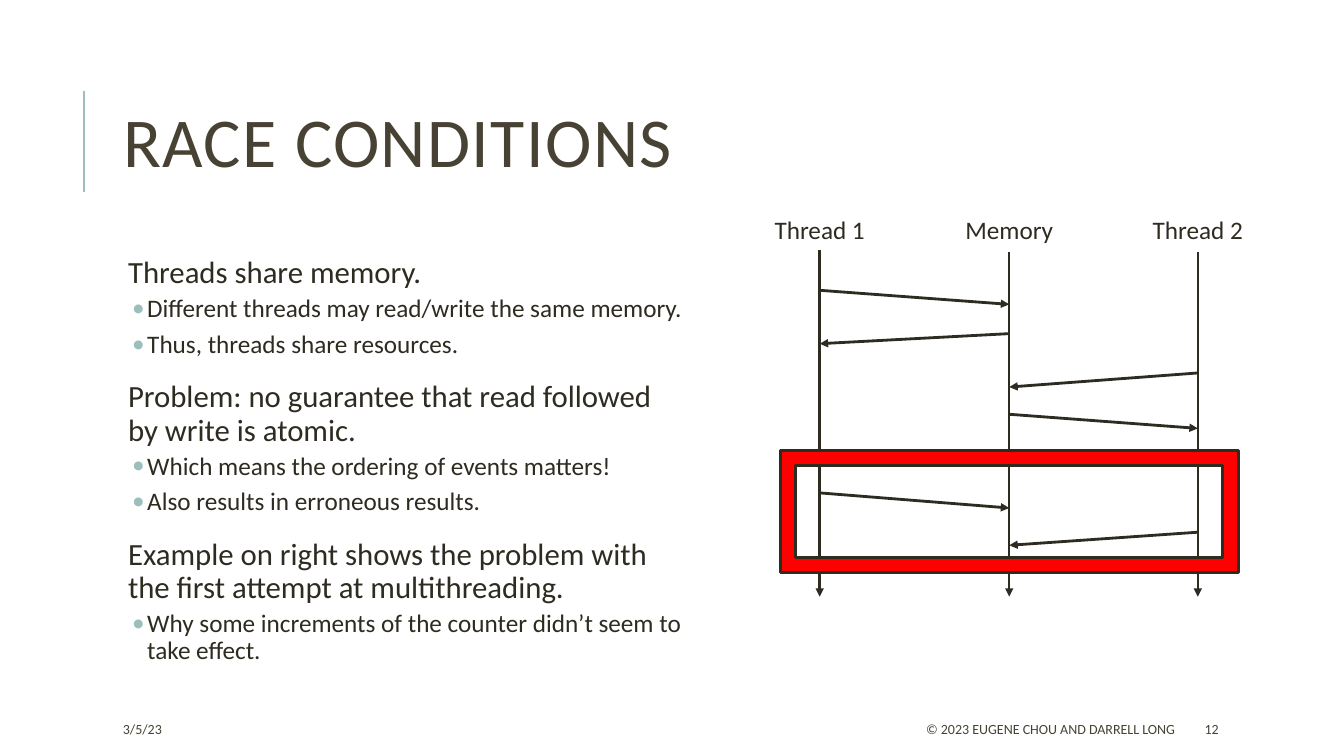
from lxml import etree
from pptx import Presentation
from pptx.dml.color import RGBColor
from pptx.enum import shapes, text
from pptx.oxml import ns
from pptx.util import Inches, Pt

INK = RGBColor(0x2E, 0x2B, 0x21)
HEADING = RGBColor(0x47, 0x42, 0x33)
ACCENT = RGBColor(0x9C, 0xBE, 0xBD)
ALERT = RGBColor(0xFF, 0x00, 0x00)
FONT = "Calibri"

THREAD_1, MEMORY, THREAD_2 = 8.13, 10.01, 11.88
LIFELINES = [("Thread 1", THREAD_1, 2.48), ("Memory", MEMORY, 2.5),
             ("Thread 2", THREAD_2, 2.5)]
MESSAGES = [
    (THREAD_1, 2.88, MEMORY, 3.02),
    (MEMORY, 3.31, THREAD_1, 3.41),
    (THREAD_2, 3.7, MEMORY, 3.84),
    (MEMORY, 4.11, THREAD_2, 4.25),
    (THREAD_1, 4.89, MEMORY, 5.04),
    (THREAD_2, 5.28, MEMORY, 5.41),
]
POINTS = [
    (0, "Threads share memory."),
    (1, "Different threads may read/write the same memory."),
    (1, "Thus, threads share resources."),
    (0, "Problem: no guarantee that read followed by write is atomic."),
    (1, "Which means the ordering of events matters!"),
    (1, "Also results in erroneous results."),
    (0, "Example on right shows the problem with the first attempt at multithreading."),
    (1, "Why some increments of the counter didn’t seem to take effect."),
]
# Per level: size, left margin, hanging indent, space before, space after, bullet
LEVELS = [(22, 0.1, -0.1, 12, 2, " "), (18, 0.29, -0.15, 2, 4, "•")]


def place(shape, left, top, width, height):
    shape.left, shape.top = Inches(left), Inches(top)
    shape.width, shape.height = Inches(width), Inches(height)


def style_runs(paragraph, size, color):
    for run in paragraph.runs:
        run.font.name = FONT
        run.font.size = Pt(size)
        run.font.color.rgb = color


def add_bullet(paragraph, char, margin, indent):
    props = paragraph._p.get_or_add_pPr()
    props.set("marL", str(Inches(margin)))
    props.set("indent", str(Inches(indent)))
    bullet_color = etree.SubElement(props, ns.qn("a:buClr"))
    etree.SubElement(bullet_color, ns.qn("a:srgbClr"), val=str(ACCENT))
    etree.SubElement(props, ns.qn("a:buFont"), typeface=FONT)
    etree.SubElement(props, ns.qn("a:buChar"), char=char)


def fill_title(title):
    place(title, 1.12, 0.64, 10.63, 1.64)
    frame = title.text_frame
    frame.text = "RACE CONDITIONS"
    frame.auto_size = text.MSO_AUTO_SIZE.NONE
    frame.vertical_anchor = text.MSO_ANCHOR.MIDDLE
    heading = frame.paragraphs[0]
    heading.alignment = text.PP_ALIGN.LEFT
    heading.line_spacing = 0.8
    style_runs(heading, 50, HEADING)
    heading.runs[0].font._element.set("spc", "100")


def fill_points(body):
    place(body, 1.12, 2.5, 5.7, 4.4)
    frame = body.text_frame
    frame.text = "\n".join(point for _, point in POINTS)
    frame.auto_size = text.MSO_AUTO_SIZE.NONE
    frame.margin_left = frame.margin_right = Inches(0.05)
    frame.margin_top = frame.margin_bottom = Inches(0.05)
    for index, (level, _) in enumerate(POINTS):
        paragraph = frame.paragraphs[index]
        size, margin, indent, before, after, char = LEVELS[level]
        paragraph.level = level
        paragraph.line_spacing = 0.9
        paragraph.space_before = Pt(before if index else 0)
        paragraph.space_after = Pt(after)
        add_bullet(paragraph, char, margin, indent)
        style_runs(paragraph, size, INK)


def add_label(slide, words, box, size, color, align, anchor):
    label = slide.shapes.add_textbox(*map(Inches, box))
    frame = label.text_frame
    frame.word_wrap = True
    frame.vertical_anchor = anchor
    frame.text = words
    frame.paragraphs[0].alignment = align
    style_runs(frame.paragraphs[0], size, color)


def add_line(slide, x1, y1, x2, y2, color, width, arrow=True):
    line = slide.shapes.add_connector(
        shapes.MSO_CONNECTOR.STRAIGHT, *map(Inches, (x1, y1, x2, y2)))
    line.line.color.rgb = color
    line.line.width = Pt(width)
    if arrow:
        etree.SubElement(line.line._get_or_add_ln(), ns.qn("a:tailEnd"), type="triangle")
    etree.SubElement(line._element.spPr, ns.qn("a:effectLst"))


def add_sequence_diagram(slide):
    for name, x, top in LIFELINES:
        add_label(slide, name, (x - 0.72, 2.08, 1.44, 0.4), 18, INK,
                  text.PP_ALIGN.CENTER, text.MSO_ANCHOR.TOP)
        add_line(slide, x, top, x, 5.92, INK, 1.75)
    for message in MESSAGES:
        add_line(slide, *message, INK, 2)
    highlight = slide.shapes.add_shape(
        shapes.MSO_SHAPE.FRAME, *map(Inches, (7.74, 4.47, 4.54, 1.21)))
    highlight.shadow.inherit = False
    highlight.fill.solid()
    highlight.fill.fore_color.rgb = ALERT
    highlight.line.color.rgb = INK
    highlight.line.width = Pt(2)


def add_footer(slide):
    left, right = text.PP_ALIGN.LEFT, text.PP_ALIGN.RIGHT
    for words, x, width, align in [
        ("3/5/23", 1.12, 2.36, left),
        ("© 2023 EUGENE CHOU AND DARRELL LONG", 5.3, 6.45, right),
        ("12", 11.85, 1.06, left),
    ]:
        add_label(slide, words, (x, 7.08, width, 0.3), 10, HEADING, align,
                  text.MSO_ANCHOR.MIDDLE)


def main():
    deck = Presentation()
    deck.slide_width, deck.slide_height = Inches(13.33), Inches(7.5)
    slide = deck.slides.add_slide(deck.slide_layouts[1])
    add_line(slide, 0.83, 0.9, 0.83, 1.9, ACCENT, 1.5, arrow=False)
    fill_title(slide.shapes.title)
    fill_points(slide.placeholders[1])
    add_sequence_diagram(slide)
    add_footer(slide)
    deck.save("out.pptx")


if __name__ == "__main__":
    main()
